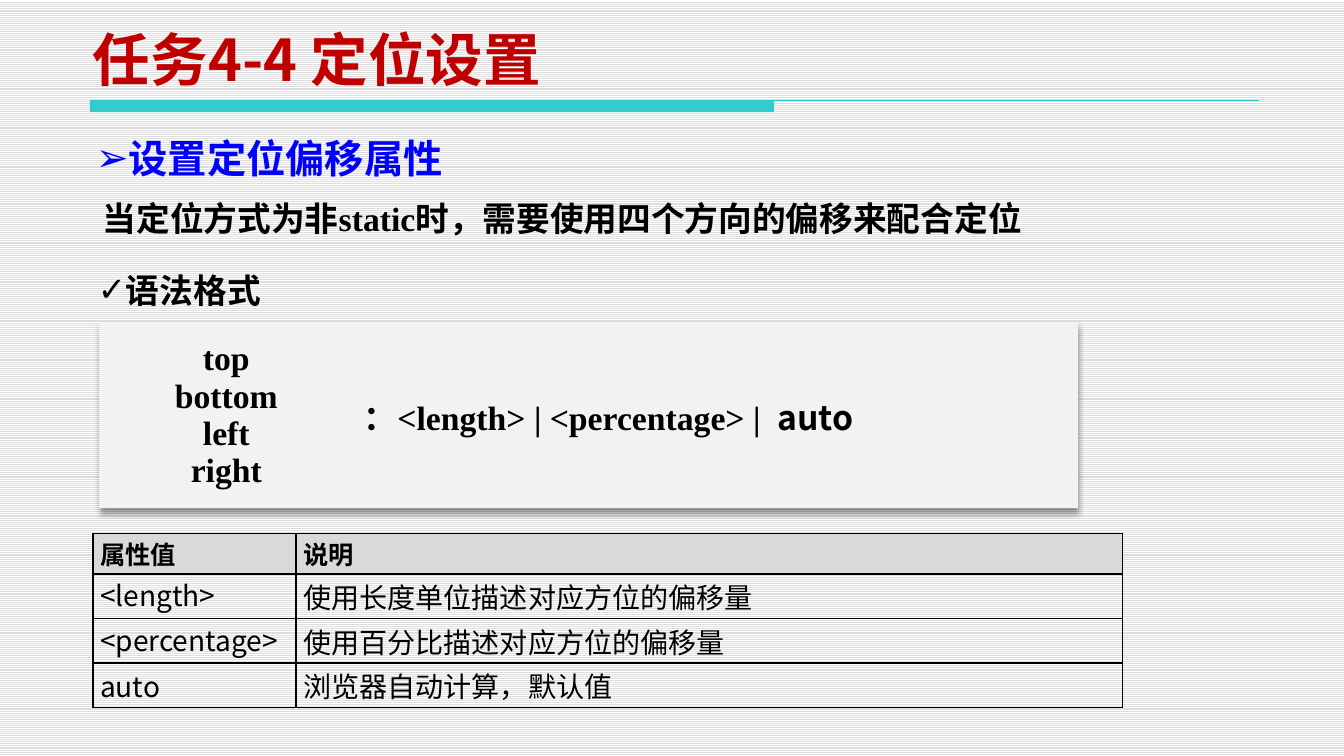
import dataclasses

import pptx
import pptx.dml.color
import pptx.enum.dml
import pptx.enum.shapes
import pptx.enum.text
import pptx.oxml
import pptx.oxml.ns
import pptx.util

Inches = pptx.util.Inches
Align = pptx.enum.text.PP_ALIGN
Anchor = pptx.enum.text.MSO_ANCHOR
NAMESPACE = pptx.oxml.ns.nsdecls("a")


@dataclasses.dataclass(frozen=True)
class Theme:
    """Colours, fonts and type sizes of the slide."""
    title: str = "C00000"
    accent: str = "33CCCC"
    heading: str = "0000FF"
    text: str = "000000"
    panel: str = "F2F2F2"
    header: str = "D9D9D9"
    stripe: str = "DDDDDD"
    paper: str = "FFFFFF"
    serif: str = "Times New Roman"
    sans: str = "Noto Sans CJK SC"
    symbol: str = "DejaVu Sans"
    header_font: str = "Calibri"
    title_size: int = 41
    heading_size: int = 28
    body_size: int = 24
    cell_size: int = 20
    header_size: int = 18


THEME = Theme()


def rgb(value):
    """Return a colour object for a hex value."""
    return pptx.dml.color.RGBColor.from_string(value)


def add_xml(parent, markup, index=None):
    """Add a DrawingML element to a parent, at its end by default."""
    element = pptx.oxml.parse_xml(markup.replace(" ", f" {NAMESPACE} ", 1))
    parent.insert(len(parent) if index is None else index, element)


def format_run(run, size, font, color=THEME.text, bold=True):
    """Set the type of one run, with the CJK font beside the Latin one."""
    run.font.size = pptx.util.Pt(size)
    run.font.bold = bold
    run.font.name = font
    run.font.color.rgb = rgb(color)
    add_xml(run.font._element, f'<a:ea typeface="{THEME.sans}"/>')


def format_text(text_frame, size, font, color=THEME.text, bold=True, align=Align.LEFT):
    """Set the type and alignment of all text in a frame."""
    for paragraph in text_frame.paragraphs:
        paragraph.alignment = align
        for run in paragraph.runs:
            format_run(run, size, font, color, bold)


def set_background(slide):
    """Fill the background with light horizontal stripes."""
    fill = slide.background.fill
    fill.patterned()
    fill.pattern = pptx.enum.dml.MSO_PATTERN.LIGHT_HORIZONTAL
    fill.fore_color.rgb = rgb(THEME.stripe)
    fill.back_color.rgb = rgb(THEME.paper)


def set_title(slide, text):
    """Place and format the title."""
    title = slide.shapes.title
    title.left, title.top = Inches(0.82), Inches(0.28)
    title.width, title.height = Inches(8.03), Inches(0.69)
    title.text_frame.text = text
    title.text_frame.vertical_anchor = Anchor.BOTTOM
    format_text(title.text_frame, THEME.title_size, THEME.sans, THEME.title)


def add_title_rule(slide):
    """Draw the thick bar and the thin line under the title."""
    left, top = Inches(0.89), Inches(0.99)
    bar = slide.shapes.add_shape(
        pptx.enum.shapes.MSO_SHAPE.RECTANGLE, left, top, Inches(6.77), Inches(0.12))
    bar.shadow.inherit = False
    bar.fill.solid()
    bar.fill.fore_color.rgb = rgb(THEME.accent)
    bar.line.fill.background()
    line = slide.shapes.add_connector(
        pptx.enum.shapes.MSO_CONNECTOR.STRAIGHT, left, top, Inches(12.46), top)
    line.line.color.rgb = rgb(THEME.accent)
    line.line.width = pptx.util.Pt(0.75)
    add_xml(line._element.spPr, "<a:effectLst />")


def add_text(slide, box, text, size, font, color=THEME.text, bullet=None):
    """Add a one-line text box, with a bullet if one is given."""
    shape = slide.shapes.add_textbox(*map(Inches, box))
    shape.text_frame.word_wrap = True
    shape.text_frame.text = text
    format_text(shape.text_frame, size, font, color)
    if bullet:
        properties = shape.text_frame.paragraphs[0]._element.get_or_add_pPr()
        add_xml(properties, f'<a:buFont typeface="{THEME.symbol}"/>')
        add_xml(properties, f'<a:buChar char="{bullet}"/>')


def set_borders(cell, line_fill):
    """Give a cell four borders with the same line fill."""
    properties = cell._tc.get_or_add_tcPr()
    for index, side in enumerate(("lnL", "lnR", "lnT", "lnB")):
        add_xml(properties, f'<a:{side} w="12700">{line_fill}</a:{side}>', index)


def add_table(slide, left, top, widths, heights):
    """Add a plain table with the given column widths and row heights."""
    frame = slide.shapes.add_table(
        len(heights), len(widths), Inches(left), Inches(top),
        Inches(sum(widths)), Inches(sum(heights)))
    table = frame.table
    table.first_row = table.horz_banding = False
    for column, width in zip(table.columns, widths):
        column.width = Inches(width)
    for row, height in zip(table.rows, heights):
        row.height = Inches(height)
    return table


def fill_cell(cell, text, fill=None):
    """Write a cell, centre it vertically and set its fill."""
    cell.text_frame.text = text
    cell.vertical_anchor = Anchor.MIDDLE
    if fill:
        cell.fill.solid()
        cell.fill.fore_color.rgb = rgb(fill)
    else:
        cell.fill.background()


def add_syntax_panel(slide):
    """Add the shadowed panel with the syntax of the offset properties."""
    table = add_table(slide, 0.98, 3.19, (2.52, 7.17), (1.84,))
    add_xml(table._tbl.tblPr,
            '<a:effectLst ><a:outerShdw blurRad="50800" dist="38100" dir="5400000">'
            '<a:srgbClr val="000000"><a:alpha val="40000"/></a:srgbClr>'
            '</a:outerShdw></a:effectLst>', 0)
    names, values = table.cell(0, 0), table.cell(0, 1)
    fill_cell(names, "top\nbottom\nleft\nright", THEME.panel)
    fill_cell(values, "：<length> | <percentage> |  ", THEME.panel)
    format_text(names.text_frame, THEME.body_size, THEME.serif, align=Align.CENTER)
    format_text(values.text_frame, THEME.body_size, THEME.serif)
    keyword = values.text_frame.paragraphs[0].add_run()
    keyword.text = "auto"
    format_run(keyword, THEME.body_size, THEME.sans)
    for cell in (names, values):
        set_borders(cell, "<a:noFill/>")


def add_value_table(slide, rows):
    """Add the bordered table that explains the property values."""
    heights = [0.4] + [0.44] * (len(rows) - 1)
    table = add_table(slide, 0.92, 5.28, (2.01, 8.18), heights)
    border = f'<a:solidFill><a:srgbClr val="{THEME.text}"/></a:solidFill>'
    for row_index, row in enumerate(rows):
        is_header = row_index == 0
        for column_index, text in enumerate(row):
            cell = table.cell(row_index, column_index)
            fill_cell(cell, text, THEME.header if is_header else None)
            cell.margin_left = cell.margin_right = Inches(0.07)
            cell.margin_top = cell.margin_bottom = 0
            if column_index == 0 and row_index in (1, 2):
                cell.vertical_anchor = Anchor.TOP
            if is_header:
                format_text(cell.text_frame, THEME.header_size, THEME.header_font)
            else:
                format_text(cell.text_frame, THEME.cell_size, THEME.sans, bold=False)
            set_borders(cell, border)


def main():
    """Build the slide and save it."""
    presentation = pptx.Presentation()
    presentation.slide_width, presentation.slide_height = Inches(13.3), Inches(7.48)
    slide = presentation.slides.add_slide(presentation.slide_layouts[5])
    set_background(slide)
    add_title_rule(slide)
    set_title(slide, "任务4-4 定位设置")
    add_text(slide, (0.87, 2.62, 7.33, 0.5), "语法格式",
             THEME.body_size, THEME.serif, bullet="✓")
    add_text(slide, (0.85, 1.28, 8.66, 0.57), "设置定位偏移属性",
             THEME.heading_size, THEME.symbol, THEME.heading, bullet="➢")
    add_syntax_panel(slide)
    add_value_table(slide, [
        ("属性值", "说明"),
        ("<length>", "使用长度单位描述对应方位的偏移量"),
        ("<percentage>", "使用百分比描述对应方位的偏移量"),
        ("auto", "浏览器自动计算，默认值"),
    ])
    add_text(slide, (0.92, 1.91, 9.8, 0.5),
             "当定位方式为非static时，需要使用四个方向的偏移来配合定位",
             THEME.body_size, THEME.serif)
    presentation.save("out.pptx")


if __name__ == "__main__":
    main()
